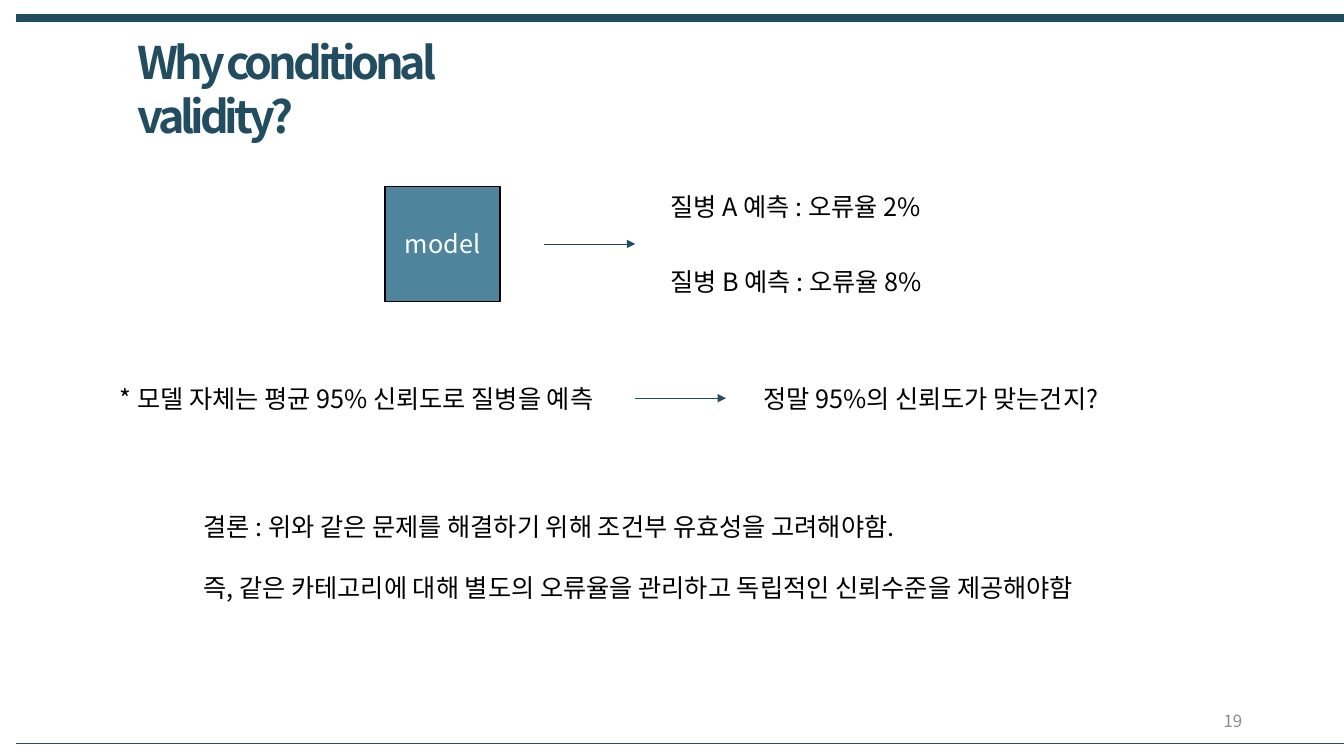
from lxml import etree
from pptx import Presentation
from pptx.dml.color import RGBColor
from pptx.enum.shapes import MSO_CONNECTOR, MSO_SHAPE
from pptx.enum.text import MSO_ANCHOR, PP_ALIGN
from pptx.oxml.ns import qn
from pptx.util import Inches, Pt

STRAIGHT = MSO_CONNECTOR.STRAIGHT
RECTANGLE = MSO_SHAPE.RECTANGLE
LEFT, CENTER, RIGHT = PP_ALIGN.LEFT, PP_ALIGN.CENTER, PP_ALIGN.RIGHT
TOP, MIDDLE = MSO_ANCHOR.TOP, MSO_ANCHOR.MIDDLE


def color(value):
    return RGBColor.from_string(value)


class SlideBuilder:
    font = "Noto Sans CJK KR"
    navy = "224D60"
    teal = "4E849C"
    black = "000000"
    white = "FFFFFF"
    gray = "8C8C8C"

    def __init__(self, page):
        self.page = page

    def fill_text(self, box, lines, size=18, fill=black, bold=False,
                  align=LEFT, anchor=TOP, gap=0, tracking=0):
        frame = box.text_frame
        frame.word_wrap = True
        frame.vertical_anchor = anchor
        for index, line in enumerate(lines):
            para = frame.add_paragraph() if index else frame.paragraphs[0]
            para.alignment = align
            if index:
                para.space_before = Pt(gap)
            span = para.add_run()
            span.text = line
            if tracking:
                span._r.get_or_add_rPr().set("spc", str(tracking * 100))
            para.font.name = self.font
            para.font.size = Pt(size)
            para.font.bold = bold
            para.font.color.rgb = color(fill)
            east_asian = etree.SubElement(para.font._element, qn("a:ea"))
            east_asian.set("typeface", self.font)

    def text(self, left, top, width, height, *lines, **style):
        box = self.page.shapes.add_textbox(
            Inches(left), Inches(top), Inches(width), Inches(height))
        self.fill_text(box, lines, **style)

    def square(self, left, top, side, label):
        box = self.page.shapes.add_shape(
            RECTANGLE, Inches(left), Inches(top), Inches(side), Inches(side))
        box.shadow.inherit = False
        box.fill.solid()
        box.fill.fore_color.rgb = color(self.teal)
        box.line.color.rgb = color(self.black)
        box.line.width = Pt(1)
        self.fill_text(box, [label], fill=self.white, align=CENTER, anchor=MIDDLE)

    def line(self, left, right, height, weight, arrow=False):
        connector = self.page.shapes.add_connector(
            STRAIGHT, Inches(left), Inches(height), Inches(right), Inches(height))
        connector.line.color.rgb = color(self.navy)
        connector.line.width = Pt(weight)
        if arrow:
            outline = connector.line._get_or_add_ln()
            etree.SubElement(outline, qn("a:tailEnd")).set("type", "triangle")
        etree.SubElement(connector._element.spPr, qn("a:effectLst"))

    def arrow(self, left, height):
        self.line(left, left + 0.9, height, 0.5, arrow=True)


def main():
    deck = Presentation()
    deck.slide_width = Inches(13.33)
    deck.slide_height = Inches(7.5)
    slide = SlideBuilder(deck.slides.add_slide(deck.slide_layouts[6]))

    for height, weight in ((0.18, 6), (7.37, 0.25)):
        slide.line(0.16, 13.35, height, weight)
    slide.text(9.42, 6.95, 3, 0.4, "19", size=12, fill=slide.gray,
               align=RIGHT, anchor=MIDDLE)
    slide.text(1.27, 0.3, 4.33, 0.64, "Why conditional validity?", size=32,
               fill=slide.navy, bold=True, tracking=-3)

    slide.square(3.82, 1.85, 1.14, "model")
    slide.arrow(5.4, 2.42)
    for index, (disease, rate) in enumerate((("A", 2), ("B", 8))):
        slide.text(6.55, 1.85 + 0.74 * index, 2.88, 0.4,
                   f"질병 {disease} 예측 : 오류율 {rate}%")

    slide.text(1.09, 3.75, 5.21, 0.4, "* 모델 자체는 평균 95% 신뢰도로 질병을 예측")
    slide.arrow(6.3, 3.95)
    slide.text(7.47, 3.75, 3.73, 0.4, "정말 95%의 신뢰도가 맞는건지?")

    slide.text(1.92, 5.02, 9.26, 1.01,
               "결론 : 위와 같은 문제를 해결하기 위해 조건부 유효성을 고려해야함.",
               "즉, 같은 카테고리에 대해 별도의 오류율을 관리하고 독립적인 신뢰수준을 제공해야함",
               gap=22)
    deck.save("out.pptx")


if __name__ == "__main__":
    main()
